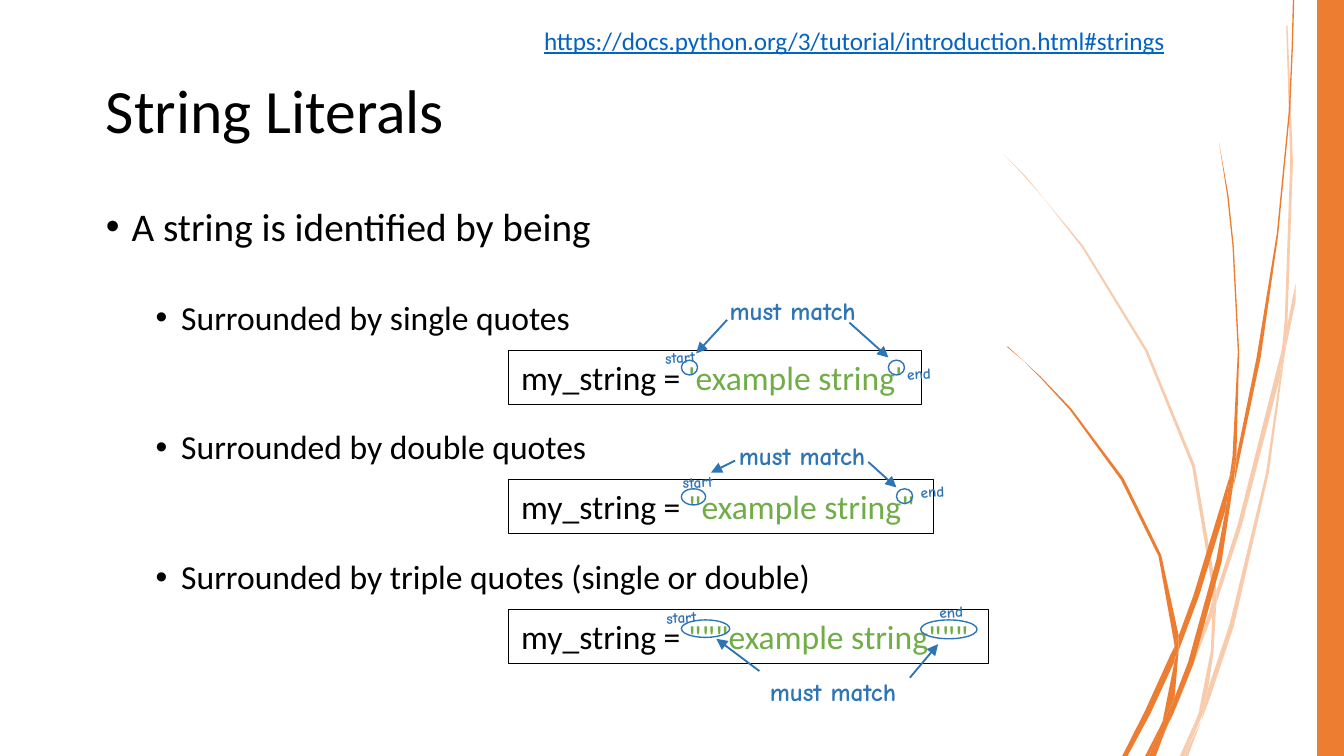
from collections import namedtuple

from lxml.etree import SubElement
from pptx import Presentation
from pptx.dml.color import RGBColor
from pptx.enum.shapes import MSO_CONNECTOR, MSO_SHAPE
from pptx.enum.text import MSO_ANCHOR, PP_ALIGN
from pptx.oxml.ns import qn
from pptx.util import Inches, Pt

Box = namedtuple("Box", "x y w h")
Sample = namedtuple("Sample", "row width quote rings start end match arrows")

COLS, ROWS = 100, 56.25
CELL = Inches(10) / COLS
PAGE = Box(0, 0, COLS, ROWS)
BODY, HAND = "Calibri", "Comic Neue"
HEX = {"ink": "000000", "paper": "FFFFFF", "code": "70AD47", "note": "2E75B6",
       "link": "0563C1", "bar": "ED7D31", "pale": "F8CBAD"}

# Corners of each blade of grass: column, row
PALE = [
    [(95.6, 26.3), (95.8, 24.1), (96.4, 21.1), (96.4, 22.4), (95.7, 25.8)],
    [(92.4, 39.1), (90.5, 44.9), (90.5, 44), (92.1, 39), (95.4, 25.9), (95.2, 28.2)],
    [(90, 45.5), (90.2, 44.7), (90.2, 45.8), (87.8, 52), (85.9, 56.25),
     (85.6, 56.25), (87.5, 51.9)],
    [(88.1, 56.25), (87.8, 56.25), (89.1, 53.3)],
    [(89.9, 51.2), (91.5, 46.4), (94.2, 35.2), (95.2, 28.2), (95.6, 26.3),
     (94.4, 35.2), (91.8, 46.6), (90, 52), (89.4, 53.6), (89.5, 53)],
    [(95.8, 23.7), (95.8, 24.2), (95.4, 25.8), (95.4, 25.9), (95.6, 23.7),
     (96, 12), (95.7, 1.9), (95.8, 1.9), (96.2, 12)],
    [(95.8, 24.1), (95.6, 26.3), (95.2, 28.2), (95.4, 25.9), (95.4, 25.8)],
    [(90.5, 44.9), (90.3, 48.5), (89.9, 51.2), (89.7, 51.9), (89.1, 53.3),
     (89.2, 53), (90.1, 48.4), (90.2, 45.8), (90.3, 45.6)],
    [(90.2, 43.8), (88.7, 34.7), (85.2, 26.1), (80.5, 18.4), (77.7, 14.8),
     (76.2, 13.1), (74.7, 11.5), (76.3, 13.1), (77.7, 14.8), (80.6, 18.3),
     (85.4, 26.1), (88.9, 34.6), (90.5, 43.8), (90.5, 44), (90.2, 44.7)],
    [(89.4, 53.6), (88.4, 56.25), (88.1, 56.25)],
    [(90.3, 45.6), (90.2, 45.8), (90.2, 44.7), (90.5, 44), (90.5, 44.9)],
    [(89.7, 51.9), (89.9, 51.2), (89.5, 53), (89.3, 53.6), (88.1, 56.25), (89.1, 53.3)],
]
VIVID = [
    [(96, 8.2), (95.1, 17.5), (93.8, 26.6), (91.9, 35.7), (91.8, 36.1), (92, 34.3),
     (92, 34), (93.5, 26.6), (95, 17.4), (95.9, 8.2), (96.1, 3.6), (96.2, 0),
     (96.3, 0), (96.2, 3.6)],
    [(89.2, 44.4), (87.7, 48.4), (87.7, 47.5), (87.7, 47.3), (88.8, 44.3),
     (91.5, 35.4), (91.2, 37.9)],
    [(87.1, 48.7), (87.4, 48.1), (87.4, 49.2), (85.6, 53.1), (83.9, 56.25),
     (83.5, 56.25), (85.2, 52.9)],
    [(87.4, 51.9), (88.4, 49.3), (90.5, 41.7), (91.2, 37.9), (91.8, 35.8),
     (90.9, 41.8), (88.8, 49.4), (87.3, 53.1), (86.8, 54.1), (86.9, 53.8)],
    [(91.5, 35.4), (91.7, 34), (92.1, 26.2), (91.7, 18.3), (91.3, 14.5), (90.7, 10.6),
     (91.4, 14.5), (91.8, 18.3), (92.2, 26.2), (92, 33.7), (91.6, 35.4)],
    [(85.5, 56.25), (85.2, 56.25), (86.4, 53.9)],
    [(91.8, 35.8), (91.2, 37.9), (91.5, 35.4), (91.6, 35.4), (92, 33.7), (92, 34)],
    [(87.3, 47.5), (86.2, 41.4), (83.4, 35.7), (79.6, 30.5), (77.4, 28.1),
     (76.2, 26.9), (74.9, 25.8), (75, 25.8), (76.2, 26.9), (77.4, 28), (79.7, 30.4),
     (83.6, 35.6), (86.4, 41.3), (87.7, 47.3), (87.4, 48.1)],
    [(86.8, 54.1), (86, 56.25), (85.7, 56.25)],
    [(87.7, 48.4), (87.4, 51.9), (86.9, 53), (86.4, 53.9), (86.5, 53.7),
     (87.4, 49.2), (87.5, 48.8)],
    [(87.7, 48.4), (87.5, 48.8), (87.3, 49.2), (87.4, 48.1), (87.7, 47.3), (87.7, 47.5)],
    [(86.9, 53), (87.4, 51.9), (86.9, 53.8), (86.8, 54.1), (85.7, 56.25),
     (85.5, 56.25), (86.4, 53.9)],
]

# Offsets are counted from the corner of each code box
SAMPLES = [
    Sample(26.1, 30.75, "'", [(12.9, .7, 1.2, 1.1), (28.3, .7, 1.2, 1.1)],
           (10.7, -.7, 4.9), (28.7, .5), (15.5, -4.6),
           [(16.3, -2.3, 14, .2), (25.4, -2.1, 28.3, .5)]),
    Sample(35.67, 31.65, '"', [(12.9, .7, 1.8, 1.2), (28.9, .7, 1.2, 1.1)],
           (12, -1, 4.9), (29.7, -.3), (16.2, -3.4),
           [(16.9, -1.4, 15.1, -.5), (26.8, -1.3, 28.9, .6)]),
    Sample(45.33, 35.75, '"""', [(12.9, .8, 3.6, 1.3), (30.7, .8, 4.2, 1.4)],
           (10.8, -.6, 5.4), (31.1, -1), (18.5, 4.5),
           [(18.7, 4.6, 15.5, 2.2), (29.9, 5.1, 32, 2.6)]),
]


def rgb(name):
    return RGBColor.from_string(HEX[name])


def emu(*cells):
    return [round(c * CELL) for c in cells]


def style(run, size, ink="ink", font=BODY, bold=False):
    run.font.size, run.font.name, run.font.bold = Pt(size), font, bold
    run.font.color.rgb = rgb(ink)


def label(slide, box, text, size, ink="ink", font=BODY, bold=False, wrap=True):
    shape = slide.shapes.add_textbox(*emu(*box))
    frame = shape.text_frame
    frame.text, frame.word_wrap = text, wrap
    style(frame.paragraphs[0].runs[0], size, ink, font, bold)
    return shape


def paint(shape, fill=None, line=None, width=.75):
    shape.shadow.inherit = False
    if fill:
        shape.fill.solid()
        shape.fill.fore_color.rgb = rgb(fill)
    else:
        shape.fill.background()
    if line:
        shape.line.color.rgb, shape.line.width = rgb(line), Pt(width)
    else:
        shape.line.fill.background()
    return shape


def preset(slide, kind, box, *look):
    return paint(slide.shapes.add_shape(kind, *emu(*box)), *look)


def arrow(slide, ends):
    link = slide.shapes.add_connector(MSO_CONNECTOR.STRAIGHT, *emu(*ends))
    link.line.color.rgb, link.line.width = rgb("note"), Pt(1)
    SubElement(link.line._get_or_add_ln(), qn("a:tailEnd"), type="triangle")
    SubElement(link._element.spPr, qn("a:effectLst"))


def blade(slide, box, corners, ink):
    edge = [emu(box.x + x, box.y + y) for x, y in corners]
    pen = slide.shapes.build_freeform(*edge[0], scale=1.0)
    pen.add_line_segments(edge[1:], close=True)
    paint(pen.convert_to_shape(), ink)


def backdrop(slide, box):
    for ink, group in (("pale", PALE), ("bar", VIVID)):
        for corners in group:
            blade(slide, box, corners, ink)
    preset(slide, MSO_SHAPE.RECTANGLE, Box(box.x + box.w - 2, box.y, 2, box.h), "bar")


def heading(slide, box):
    shape = label(slide, box, "String Literals", 33)
    shape.text_frame.vertical_anchor = MSO_ANCHOR.MIDDLE
    shape.text_frame.paragraphs[0].line_spacing = .9


def bullets(slide, box):
    items = [("A string is identified by being", 21, .19, 0),
             ("Surrounded by single quotes", 18, .56, 27.5),
             ("Surrounded by double quotes", 18, .56, 50),
             ("Surrounded by triple quotes (single or double)", 18, .56, 50)]
    frame = slide.shapes.add_textbox(*emu(*box)).text_frame
    frame.word_wrap = True
    frame.text = "\n".join(item[0] for item in items)
    for para, (_, size, margin, gap) in zip(frame.paragraphs, items):
        para.line_spacing, para.space_before = .9, Pt(gap)
        style(para.runs[0], size)
        props = para._p.get_or_add_pPr()
        props.set("marL", str(Inches(margin)))
        props.set("indent", str(-Inches(.19)))
        SubElement(props, qn("a:buFont"), typeface="Arial")
        SubElement(props, qn("a:buChar"), char="•")


def example(slide, box, item):
    """Code box with its handwritten notes."""
    def at(x, y, w, h):
        return Box(box.x + x, box.y + y, w, h)

    code = preset(slide, MSO_SHAPE.RECTANGLE, box, "paper", "ink", .25)
    frame = code.text_frame
    frame.word_wrap, frame.vertical_anchor = False, MSO_ANCHOR.TOP
    para = frame.paragraphs[0]
    para.alignment = PP_ALIGN.LEFT
    for text, ink in (("my_string = ", "ink"),
                      (f"{item.quote}example string{item.quote}", "code")):
        run = para.add_run()
        run.text = text
        style(run, 18, ink)

    for ring in item.rings:
        preset(slide, MSO_SHAPE.OVAL, at(*ring), None, "note")
    for text, spot in (("start", item.start), ("end", (*item.end, 4.1))):
        note = label(slide, at(*spot, 2.4), text, 8.2, "note", HAND, True)
        note.rotation = 356.8
    label(slide, at(*item.match, 12.2, 3.3), "must match", 13.5, "note", HAND, True)
    for xa, ya, xb, yb in item.arrows:
        arrow(slide, (box.x + xa, box.y + ya, box.x + xb, box.y + yb))


def main():
    deck = Presentation()
    deck.slide_width, deck.slide_height = emu(COLS, ROWS)
    slide = deck.slides.add_slide(deck.slide_layouts[6])
    backdrop(slide, PAGE)
    heading(slide, Box(6.9, 3, 86.2, 10.9))
    bullets(slide, Box(6.9, 14.95, 86.2, 35.7))
    url = label(slide, Box(39.5, 1.4, 49.4, 3.3),
                "https://docs.python.org/3/tutorial/introduction.html#strings",
                13.5, "link", wrap=False)
    url.text_frame.paragraphs[0].runs[0].font.underline = True
    for item in SAMPLES:
        example(slide, Box(37.8, item.row, item.width, 4), item)
    deck.save("out.pptx")


if __name__ == "__main__":
    main()
